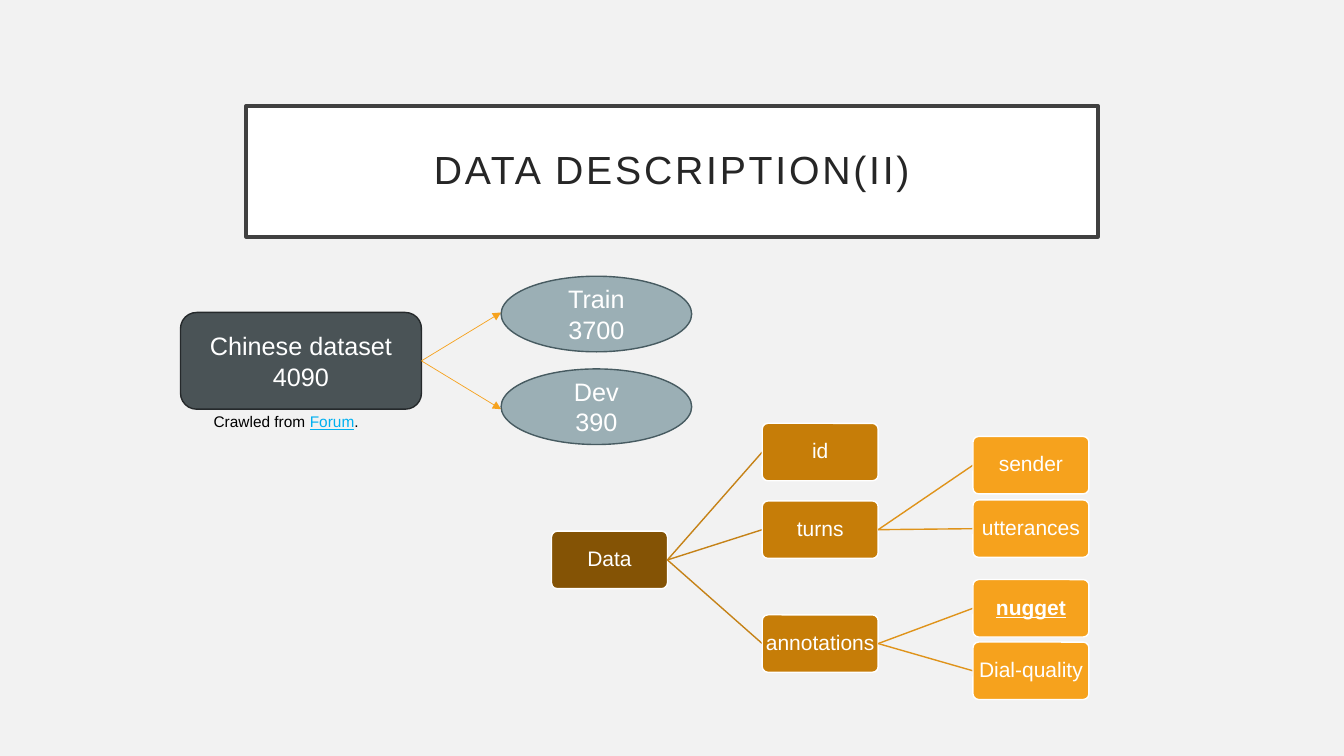
from pptx import Presentation
from pptx.dml.color import RGBColor
from pptx.enum.shapes import MSO_CONNECTOR, MSO_SHAPE
from pptx.enum.text import MSO_ANCHOR, PP_ALIGN
from pptx.oxml.ns import qn
from pptx.util import Inches, Pt
from lxml import etree

RECT, ROUND, OVAL = MSO_SHAPE.RECTANGLE, MSO_SHAPE.ROUNDED_RECTANGLE, MSO_SHAPE.OVAL
LINE, MID, CENTER = MSO_CONNECTOR.STRAIGHT, MSO_ANCHOR.MIDDLE, PP_ALIGN.CENTER
FONT, WHITE, AMBER = "Arial", "FFFFFF", "F6A21D"

# Content
TITLE = "DATA DESCRIPTION(II)"
SOURCE = "Chinese dataset\n4090"
SPLITS = ["Train\n3700", "Dev\n390"]
CREDIT = [("Crawled from\u00a0", "000000", False), ("Forum", "00B0F0", True),
          (".", "000000", False)]
# Tree nodes: name, level, top, parent
TREE = [
    ("Data", 0, 5.27, None),
    ("id", 1, 4.2, "Data"),
    ("turns", 1, 4.97, "Data"),
    ("annotations", 1, 6.1, "Data"),
    ("sender", 2, 4.33, "turns"),
    ("utterances", 2, 4.96, "turns"),
    ("nugget", 2, 5.75, "annotations"),
    ("Dial-quality", 2, 6.37, "annotations"),
]
FILLS = ["845305", "C67D08", AMBER]
LINKS = [None, "C58217", "DF931A"]
LEFT, STEP, NODE_W, NODE_H = 5.47, 2.09, 1.15, 0.57

deck = Presentation()
deck.slide_width, deck.slide_height = Inches(13.33), Inches(7.5)
slide = deck.slides.add_slide(deck.slide_layouts[6])


def color(code):
    return RGBColor.from_string(code)


def style(run, size, code):
    run.font.name, run.font.size = FONT, Pt(size)
    run.font.color.rgb = color(code)


def box(kind, at, text, fill, edge, width, size, ink=WHITE, pad=0.05, gap=1.0):
    shape = slide.shapes.add_shape(kind, *map(Inches, at))
    shape.shadow.inherit = False
    shape.fill.solid()
    shape.fill.fore_color.rgb = color(fill)
    shape.line.color.rgb = color(edge)
    shape.line.width = Pt(width)
    frame = shape.text_frame
    frame.text = text
    frame.word_wrap = True
    frame.vertical_anchor = MID
    frame.margin_left = frame.margin_right = Inches(pad)
    frame.margin_top = frame.margin_bottom = Inches(pad)
    for para in frame.paragraphs:
        para.alignment, para.line_spacing = CENTER, gap
        for run in para.runs:
            style(run, size, ink)
    return shape


def link(start, end, code, width, arrow=False):
    wire = slide.shapes.add_connector(LINE, *map(Inches, start + end))
    wire.line.color.rgb = color(code)
    wire.line.width = Pt(width)
    if arrow:
        tail = etree.SubElement(wire.line._get_or_add_ln(), qn("a:tailEnd"))
        tail.set("type", "triangle")
    etree.SubElement(wire._element.spPr, qn("a:effectLst"))


# Background and title
slide.background.fill.solid()
slide.background.fill.fore_color.rgb = color("F2F2F2")
head = box(RECT, (2.44, 1.05, 8.45, 1.3), TITLE, WHITE, "404040", 2.5, 28,
           "262626", 0.2, 0.9)
head.text_frame.paragraphs[0].runs[0].font._element.set("spc", "200")

# Dataset and its splits
box(ROUND, (1.79, 3.1, 2.39, 0.96), SOURCE, "4A5356", "25292B", 1, 18)
for i, split in enumerate(SPLITS):
    link((4.18, 3.58), (4.97, 3.1 + 0.96 * i), AMBER, 0.5, True)
    box(OVAL, (4.97, 2.74 + 0.92 * i, 1.89, 0.75), split, "9BAFB5", "475B61", 1, 18)

# Credit line
note = slide.shapes.add_textbox(*map(Inches, (2.02, 4.04, 2.49, 0.29)))
note.text_frame.word_wrap = True
for text, ink, under in CREDIT:
    run = note.text_frame.paragraphs[0].add_run()
    run.text = text
    style(run, 11, ink)
    run.font.underline = under

# Data tree
ports = {}
for name, level, top, parent in TREE:
    x, y = LEFT + STEP * level, top + NODE_H / 2
    ports[name] = (x + NODE_W, y)
    if parent:
        link(ports[parent], (x, y), LINKS[level], 1)
    node = box(ROUND, (x, top, NODE_W, NODE_H), name, FILLS[level], WHITE, 1, 15,
               pad=0.01, gap=0.9)
    node.adjustments[0] = 0.1
    node.text_frame.word_wrap = False
    if name == "nugget":
        font = node.text_frame.paragraphs[0].runs[0].font
        font.bold = font.underline = True

deck.save("out.pptx")
